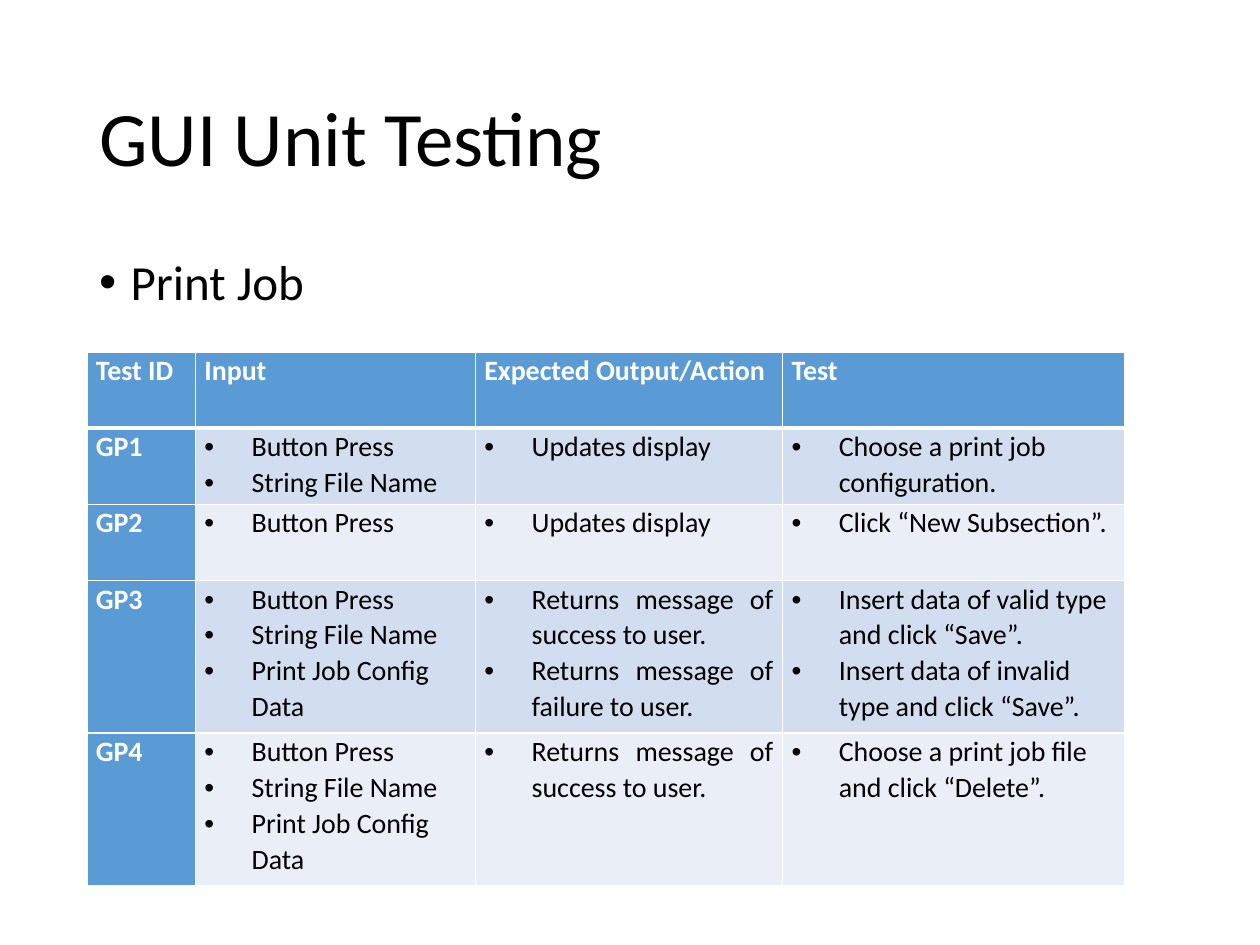
from dataclasses import dataclass

from lxml.etree import SubElement
from pptx import Presentation
from pptx.dml.color import RGBColor
from pptx.enum.text import MSO_ANCHOR, PP_ALIGN
from pptx.oxml.ns import qn
from pptx.util import Pt


@dataclass(frozen=True)
class Theme:
    font: str = "Calibri"
    bullet_font: str = "Arial"
    text: str = "000000"
    white: str = "FFFFFF"
    accent: str = "5B9BD5"
    bands: tuple = ("D2DEEF", "EAEFF7")
    title_size: float = 44
    body_size: float = 28
    table_size: float = 16


THEME = Theme()
LEFT = 49.6
COLUMN_WIDTHS = (62, 160, 175.6, 195.4)
ROW_HEIGHTS = (43.6, 43.6, 43.6, 87.2, 87.2)
HEADERS = ("Test ID", "Input", "Expected Output/Action", "Test")
PRESS, FILE_NAME, CONFIG = "Button Press", "String File Name", "Print Job Config Data"
UPDATES = "Updates display"
SUCCESS = "Returns message of success to user."
FAILURE = "Returns message of failure to user."
TESTS = (
    ("GP1", [PRESS, FILE_NAME], [UPDATES], ["Choose a print job configuration."]),
    ("GP2", [PRESS], [UPDATES], ["Click “New Subsection”."]),
    ("GP3", [PRESS, FILE_NAME, CONFIG], [SUCCESS, FAILURE],
     ["Insert data of valid type and click “Save”.",
      "Insert data of invalid type and click “Save”."]),
    ("GP4", [PRESS, FILE_NAME, CONFIG], [SUCCESS],
     ["Choose a print job file and click “Delete”."]),
)


def set_attributes(target, values):
    for name, value in values.items():
        setattr(target, name, value)


def add_bullet(paragraph, indent):
    properties = paragraph._p.get_or_add_pPr()
    properties.set("marL", str(Pt(indent)))
    properties.set("indent", str(-Pt(indent)))
    SubElement(properties, qn("a:buFont"), typeface=THEME.bullet_font)
    SubElement(properties, qn("a:buChar"), char="•")


def write_lines(text_frame, lines, size, color=THEME.text, bold=False, indent=0, **layout):
    """Write one paragraph per line; an indent also gives it a bullet."""
    for index, line in enumerate(lines):
        paragraph = text_frame.paragraphs[0] if index == 0 else text_frame.add_paragraph()
        set_attributes(paragraph, layout)
        if indent:
            add_bullet(paragraph, indent)
        run = paragraph.add_run()
        run.text = line
        set_attributes(run.font, {"name": THEME.font, "size": Pt(size), "bold": bold})
        run.font.color.rgb = RGBColor.from_string(color)


def add_text(slide, box, lines, size, anchor, **layout):
    text_frame = slide.shapes.add_textbox(*map(Pt, box)).text_frame
    set_attributes(text_frame, {"word_wrap": True, "vertical_anchor": anchor})
    write_lines(text_frame, lines, size, line_spacing=0.9, **layout)


def set_borders(cell, top, bottom):
    properties = cell._tc.get_or_add_tcPr()
    for side, width in (("L", 1), ("R", 1), ("T", top), ("B", bottom)):
        line = SubElement(properties, qn(f"a:ln{side}"), w=str(Pt(width)))
        SubElement(SubElement(line, qn("a:solidFill")), qn("a:srgbClr"), val=THEME.white)


def fill_cell(cell, lines, fill, row, **text_format):
    set_attributes(cell, {"margin_left": Pt(5.2), "margin_right": Pt(5.2),
                          "margin_top": 0, "margin_bottom": 0})
    set_borders(cell, top=3 if row == 1 else 1, bottom=3 if row == 0 else 1)
    cell.fill.solid()
    cell.fill.fore_color.rgb = RGBColor.from_string(fill)
    write_lines(cell.text_frame, lines, THEME.table_size, line_spacing=1.05, **text_format)


def add_test_table(slide):
    table = slide.shapes.add_table(
        len(ROW_HEIGHTS), len(COLUMN_WIDTHS), Pt(LEFT), Pt(201),
        Pt(sum(COLUMN_WIDTHS)), Pt(sum(ROW_HEIGHTS))).table
    for column, width in zip(table.columns, COLUMN_WIDTHS):
        column.width = Pt(width)
    for table_row, height in zip(table.rows, ROW_HEIGHTS):
        table_row.height = Pt(height)

    heading = {"color": THEME.white, "bold": True, "alignment": PP_ALIGN.JUSTIFY}
    for column, header in enumerate(HEADERS):
        fill_cell(table.cell(0, column), [header], THEME.accent, 0, **heading)
    alignments = (PP_ALIGN.LEFT, PP_ALIGN.JUSTIFY, PP_ALIGN.LEFT)
    for row, (test_id, *columns) in enumerate(TESTS, start=1):
        fill_cell(table.cell(row, 0), [test_id], THEME.accent, row, **heading)
        band = THEME.bands[(row - 1) % 2]
        for column, (lines, alignment) in enumerate(zip(columns, alignments), start=1):
            fill_cell(table.cell(row, column), lines, band, row,
                      indent=27, alignment=alignment)


def main():
    presentation = Presentation()
    set_attributes(presentation, {"slide_width": Pt(720), "slide_height": Pt(540)})
    slide = presentation.slides.add_slide(presentation.slide_layouts[6])
    add_text(slide, (LEFT, 28.8, 621, 104.4), ["GUI Unit Testing"],
             THEME.title_size, MSO_ANCHOR.MIDDLE)
    add_text(slide, (LEFT, 144, 621, 342.6), ["Print Job"],
             THEME.body_size, MSO_ANCHOR.TOP, indent=18, space_before=Pt(10))
    add_test_table(slide)
    presentation.save("out.pptx")


if __name__ == "__main__":
    main()
